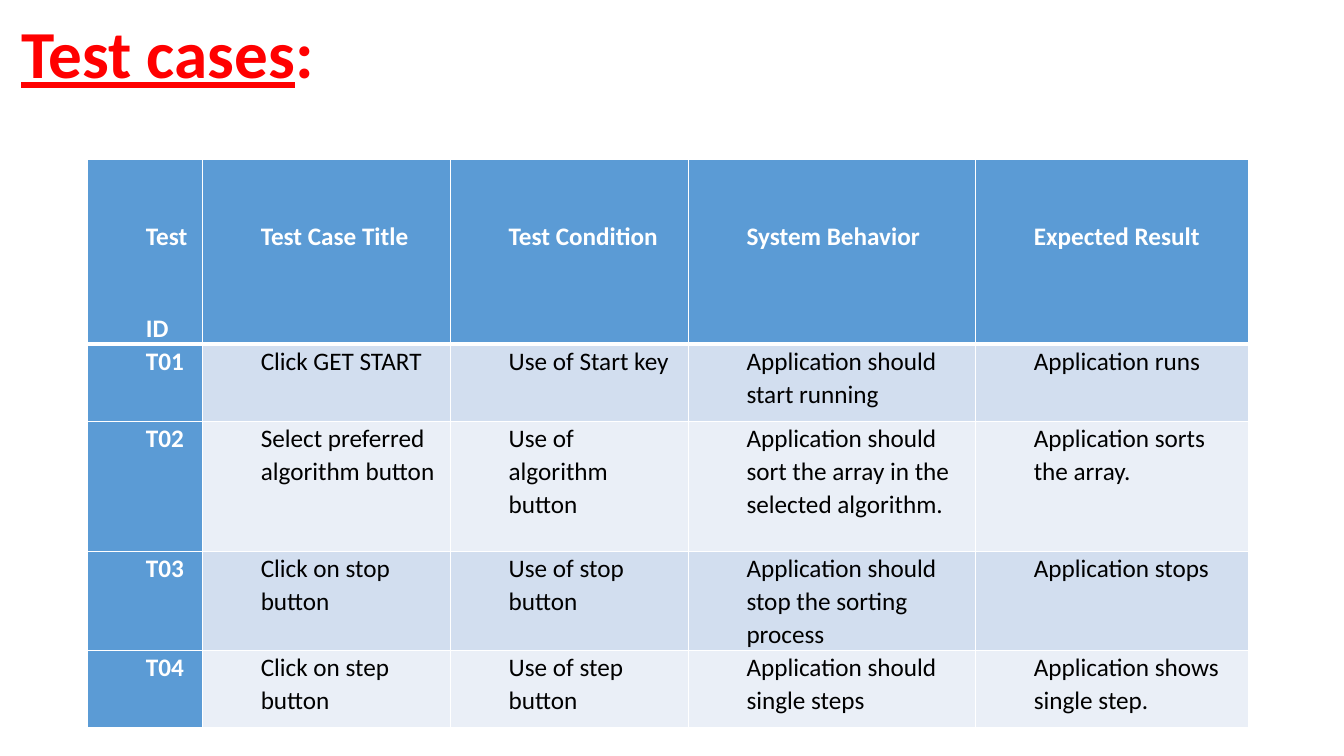
from lxml.etree import SubElement
from pptx import Presentation
from pptx.dml.color import RGBColor
from pptx.enum.text import MSO_ANCHOR, PP_ALIGN
from pptx.oxml.ns import qn
from pptx.util import Pt

TITLE = [("Test cases", True), (":", False)]
HEADINGS = ["Test ID", "Test Case Title", "Test Condition",
            "System Behavior", "Expected Result"]
TEST_CASES = [
    ("T01", "Click GET START", "Use of Start key",
     "Application should start running", "Application runs"),
    ("T02", "Select preferred algorithm button", "Use of  algorithm button",
     "Application should sort the array in the selected algorithm.",
     "Application sorts the array."),
    ("T03", "Click on stop button", "Use of stop button",
     "Application should stop the sorting process", "Application stops"),
    ("T04", "Click on step button", "Use of step button",
     "Application should single steps", "Application shows single step."),
]
COLUMN_WIDTHS = [82.1, 177.1, 169.9, 205.2, 195.1]
ROW_HEIGHTS = [129.3, 55.4, 92.9, 69.6, 55.4]
TABLE_LEFT, TABLE_TOP = 62.8, 114
FONT = "Calibri"
COLORS = {"title": "FF0000", "accent": "5B9BD5", "odd": "D2DEEF",
          "even": "EAEFF7", "light": "FFFFFF", "dark": "000000"}


def color(name):
    return RGBColor.from_string(COLORS[name])


def add_run(paragraph, text, size, tint, bold):
    run = paragraph.add_run()
    run.text = text
    run.font.name = FONT
    run.font.size = Pt(size)
    run.font.bold = bold
    run.font.color.rgb = color(tint)
    return run


def add_border(cell, side, width):
    line = SubElement(cell._tc.get_or_add_tcPr(), qn(f"a:{side}"), w=str(Pt(width)))
    fill = SubElement(line, qn("a:solidFill"))
    SubElement(fill, qn("a:srgbClr"), val=COLORS["light"])


def fill_cell(cell, text, row, column):
    is_heading = row == 0
    is_accent = is_heading or column == 0
    cell.margin_left = cell.margin_right = Pt(5.4)
    cell.margin_top = cell.margin_bottom = 0
    for side in ("lnL", "lnR", "lnT", "lnB"):
        under_heading = (side, row) in (("lnB", 0), ("lnT", 1))
        add_border(cell, side, 3 if under_heading else 1)
    cell.fill.solid()
    band = "odd" if row % 2 else "even"
    cell.fill.fore_color.rgb = color("accent" if is_accent else band)
    paragraph = cell.text_frame.paragraphs[0]
    paragraph.line_spacing = 3.0 if is_heading else 1.07
    properties = paragraph._p.get_or_add_pPr()
    properties.set("marL", str(Pt(36)))
    properties.set("indent", "0")
    add_run(paragraph, text, 18, "light" if is_accent else "dark", is_accent)


def main():
    deck = Presentation()
    deck.slide_width, deck.slide_height = Pt(960), Pt(540)
    slide = deck.slides.add_slide(deck.slide_layouts[5])

    title = slide.shapes.title
    title.left, title.top, title.width, title.height = Pt(7.9), Pt(4.3), Pt(335.5), Pt(65.5)
    title.text_frame.word_wrap = True
    title.text_frame.vertical_anchor = MSO_ANCHOR.TOP
    heading = title.text_frame.paragraphs[0]
    heading.alignment = PP_ALIGN.LEFT
    for text, underlined in TITLE:
        add_run(heading, text, 48, "title", True).font.underline = underlined

    rows = [HEADINGS, *TEST_CASES]
    table = slide.shapes.add_table(
        len(rows), len(HEADINGS), Pt(TABLE_LEFT), Pt(TABLE_TOP),
        Pt(sum(COLUMN_WIDTHS)), Pt(sum(ROW_HEIGHTS))).table
    table.first_col = True
    for column, width in zip(table.columns, COLUMN_WIDTHS):
        column.width = Pt(width)
    for row, height in zip(table.rows, ROW_HEIGHTS):
        row.height = Pt(height)
    for r, row_texts in enumerate(rows):
        for c, text in enumerate(row_texts):
            fill_cell(table.cell(r, c), text, r, c)

    deck.save("out.pptx")


if __name__ == "__main__":
    main()
